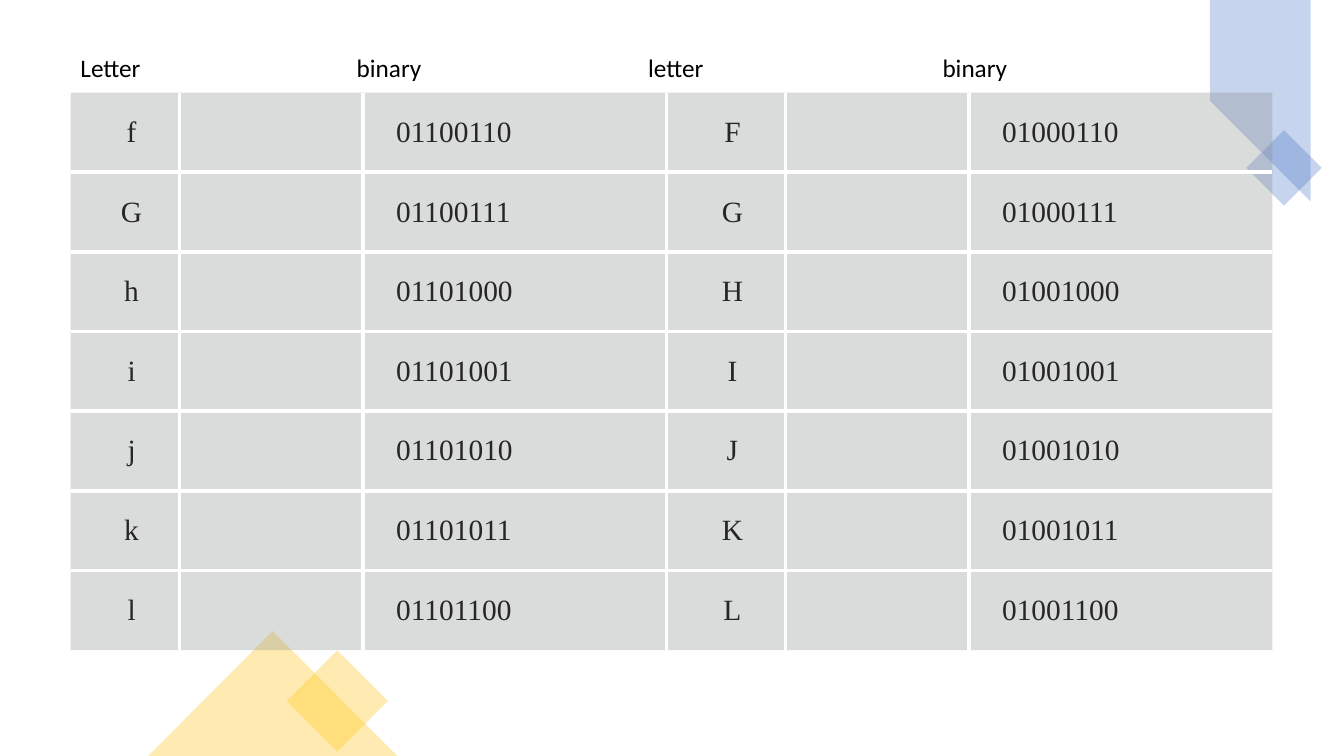
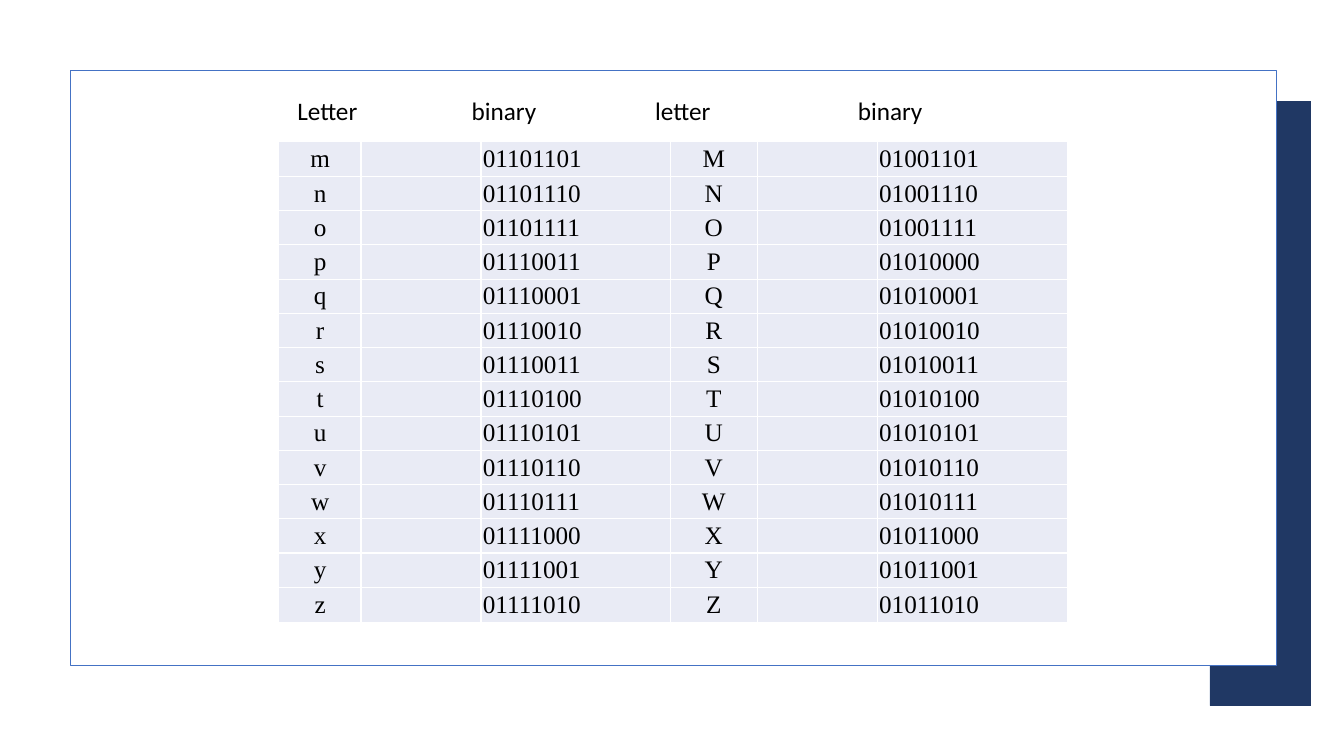
from lxml import etree
from pptx import Presentation
from pptx.dml.color import RGBColor
from pptx.enum.shapes import MSO_SHAPE
from pptx.enum.text import MSO_ANCHOR, MSO_AUTO_SIZE, PP_ALIGN
from pptx.oxml.ns import qn
from pptx.util import Inches, Pt

RECTANGLE = MSO_SHAPE.RECTANGLE
TRIANGLE = MSO_SHAPE.ISOSCELES_TRIANGLE
MIDDLE = MSO_ANCHOR.MIDDLE
GROW = MSO_AUTO_SIZE.SHAPE_TO_FIT_TEXT
LEFT, CENTER = PP_ALIGN.LEFT, PP_ALIGN.CENTER

WHITE, BLACK, CHARCOAL = "FFFFFF", "000000", "262626"
BLUE, DEEP_BLUE, NAVY = "4472C4", "2F5597", "203864"
GOLD, GREY, PALE_BLUE = "FFC000", "878E8B", "E9EBF5"
HEADING_FONT, TABLE_FONT = "Calibri", "Times New Roman"
HEADINGS = ["Letter", "binary", "letter", "binary"]
LETTER_COLUMNS = (0, 3)
TEXT_COLUMNS = (0, 2, 3, 5)

LETTERS_F_TO_L = [
    ("f", "01100110", "F", "01000110"),
    ("G", "01100111", "G", "01000111"),
    ("h", "01101000", "H", "01001000"),
    ("i", "01101001", "I", "01001001"),
    ("j", "01101010", "J", "01001010"),
    ("k", "01101011", "K", "01001011"),
    ("l", "01101100", "L", "01001100"),
]
LETTERS_M_TO_Z = [
    ("m", "01101101", "M", "01001101"),
    ("n", "01101110", "N", "01001110"),
    ("o", "01101111", "O", "01001111"),
    ("p", "01110011", "P", "01010000"),
    ("q", "01110001", "Q", "01010001"),
    ("r", "01110010", "R", "01010010"),
    ("s", "01110011", "S", "01010011"),
    ("t", "01110100", "T", "01010100"),
    ("u", "01110101", "U", "01010101"),
    ("v", "01110110", "V", "01010110"),
    ("w", "01110111", "W", "01010111"),
    ("x", "01111000", "X", "01011000"),
    ("y", "01111001", "Y", "01011001"),
    ("z", "01111010", "Z", "01011010"),
]

GREY_STYLE = {"fill": GREY, "opacity": 30, "border": 3, "size": 21, "color": CHARCOAL,
              "margins": (0.33, 0.2, 0.2, 0.2)}
PALE_STYLE = {"fill": PALE_BLUE, "opacity": 100, "border": 1, "size": 18, "color": BLACK,
              "margins": (0.02, 0.02, 0.02, 0.02)}


def rgb(value):
    return RGBColor.from_string(value)


def set_attributes(target, values):
    for name, value in values.items():
        setattr(target, name, value)


def paint(fill, holder, color, opacity=100):
    fill.solid()
    fill.fore_color.rgb = rgb(color)
    if opacity < 100:
        shade = holder.find(qn("a:solidFill")).find(qn("a:srgbClr"))
        etree.SubElement(shade, qn("a:alpha"), val=str(opacity * 1000))


def finish_shape(shape, color, opacity=100, outline=None):
    shape.shadow.inherit = False
    paint(shape.fill, shape._element.spPr, color, opacity)
    if outline:
        shape.line.color.rgb = rgb(outline)
        shape.line.width = Pt(1)
    else:
        shape.line.fill.background()


def add_preset(page, kind, frame, color, rotation=0, **look):
    shape = page.shapes.add_shape(kind, *map(Inches, frame))
    shape.rotation = rotation
    finish_shape(shape, color, **look)


def add_outline(page, points, color, opacity=100):
    builder = page.shapes.build_freeform(*points[0], scale=Inches(1))
    builder.add_line_segments(points[1:], close=True)
    finish_shape(builder.convert_to_shape(), color, opacity)


def format_span(span, font, size, color):
    set_attributes(span.font, {"name": font, "size": Pt(size)})
    span.font.color.rgb = rgb(color)


def add_headings(page, frame, stops):
    box = page.shapes.add_textbox(*map(Inches, frame))
    set_attributes(box.text_frame, {"word_wrap": True, "auto_size": GROW})
    para = box.text_frame.paragraphs[0]
    tabs = etree.SubElement(para._p.get_or_add_pPr(), qn("a:tabLst"))
    for stop in stops:
        etree.SubElement(tabs, qn("a:tab"), pos=str(Inches(stop)), algn="l")
    span = para.add_run()
    span.text = "\t".join(HEADINGS)
    format_span(span, HEADING_FONT, 18, BLACK)


def add_borders(cell, inner_sides, width):
    properties = cell._tc.get_or_add_tcPr()
    for side, inner in inner_sides.items():
        line = etree.SubElement(properties, qn(f"a:ln{side}"), w=str(Pt(width)))
        if inner:
            solid = etree.SubElement(line, qn("a:solidFill"))
            etree.SubElement(solid, qn("a:srgbClr"), val=WHITE)
        else:
            etree.SubElement(line, qn("a:noFill"))


def fill_cell(cell, text, alignment, style):
    left, right, top, bottom = map(Inches, style["margins"])
    set_attributes(cell, {"margin_left": left, "margin_right": right, "margin_top": top,
                          "margin_bottom": bottom, "vertical_anchor": MIDDLE})
    para = cell.text_frame.paragraphs[0]
    para.alignment = alignment
    if text:
        span = para.add_run()
        span.text = text
        format_span(span, TABLE_FONT, style["size"], style["color"])
    else:
        etree.SubElement(para._p, qn("a:endParaRPr"), sz="1000")


def add_letter_table(page, frame, widths, rows, style):
    table = page.shapes.add_table(len(rows), len(widths), *map(Inches, frame)).table
    set_attributes(table, {"first_row": False, "horz_banding": False})
    for column, width in zip(table.columns, widths):
        column.width = Inches(width)
    last_row, last_column = len(rows) - 1, len(widths) - 1
    for row_index, values in enumerate(rows):
        table.rows[row_index].height = Inches(frame[3] / len(rows))
        texts = dict(zip(TEXT_COLUMNS, values))
        for column_index in range(len(widths)):
            cell = table.cell(row_index, column_index)
            inner_sides = {"L": column_index > 0, "R": column_index < last_column,
                           "T": row_index > 0, "B": row_index < last_row}
            add_borders(cell, inner_sides, style["border"])
            paint(cell.fill, cell._tc.tcPr, style["fill"], style["opacity"])
            alignment = CENTER if column_index in LETTER_COLUMNS else LEFT
            fill_cell(cell, texts.get(column_index), alignment, style)


def add_f_to_l(page):
    corner = [(13.33, 0), (12.34, 0), (11.75, 0.59), (13.2, 2.04), (13.33, 1.91)]
    add_outline(page, corner, BLUE, opacity=30)
    add_preset(page, RECTANGLE, (12.47, 1.4, 0.53, 0.53), BLUE, rotation=315, opacity=30)
    add_preset(page, RECTANGLE, (2.99, 6.6, 0.71, 0.71), GOLD, rotation=45, opacity=30)
    add_preset(page, TRIANGLE, (1.47, 6.26, 2.47, 1.24), GOLD, opacity=30)
    add_letter_table(page, (0.7, 0.92, 11.93, 5.53), (1.08, 1.82, 3.01, 1.18, 1.82, 3.01),
                     LETTERS_F_TO_L, GREY_STYLE)
    add_headings(page, (0.7, 0.47, 11.93, 0.4), (2.74, 5.63, 8.55))


def add_m_to_z(page):
    ribbon = [(12.93, 7.42), (12.16, 6.89), (12.16, 1), (12.93, 1.53)]
    fold = [(12.62, 6.61), (12.16, 6.9), (12.16, 1), (12.62, 0.7)]
    add_outline(page, ribbon, DEEP_BLUE)
    add_outline(page, fold, NAVY)
    add_preset(page, RECTANGLE, (0.7, 0.7, 11.96, 5.9), WHITE, outline=BLUE)
    add_letter_table(page, (2.77, 1.41, 7.8, 4.69), (0.81, 1.19, 1.88, 0.86, 1.19, 1.88),
                     LETTERS_M_TO_Z, PALE_STYLE)
    add_headings(page, (2.85, 0.9, 7.71, 0.4), (1.73, 3.55, 5.56))


def main():
    deck = Presentation()
    set_attributes(deck, {"slide_width": Inches(13.33), "slide_height": Inches(7.5)})
    blank = deck.slide_layouts[6]
    for build in (add_f_to_l, add_m_to_z):
        build(deck.slides.add_slide(blank))
    deck.save("out.pptx")


main()
